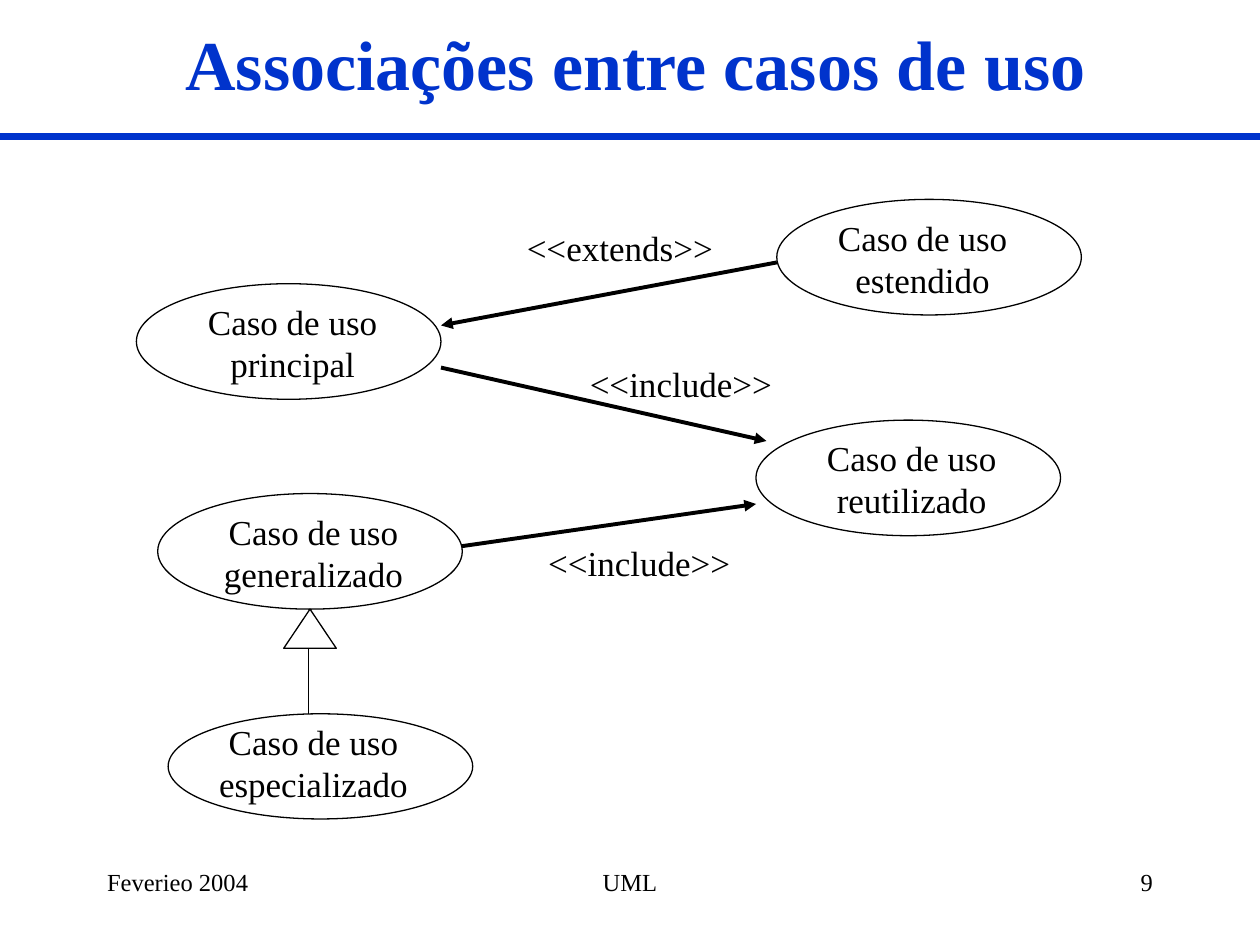
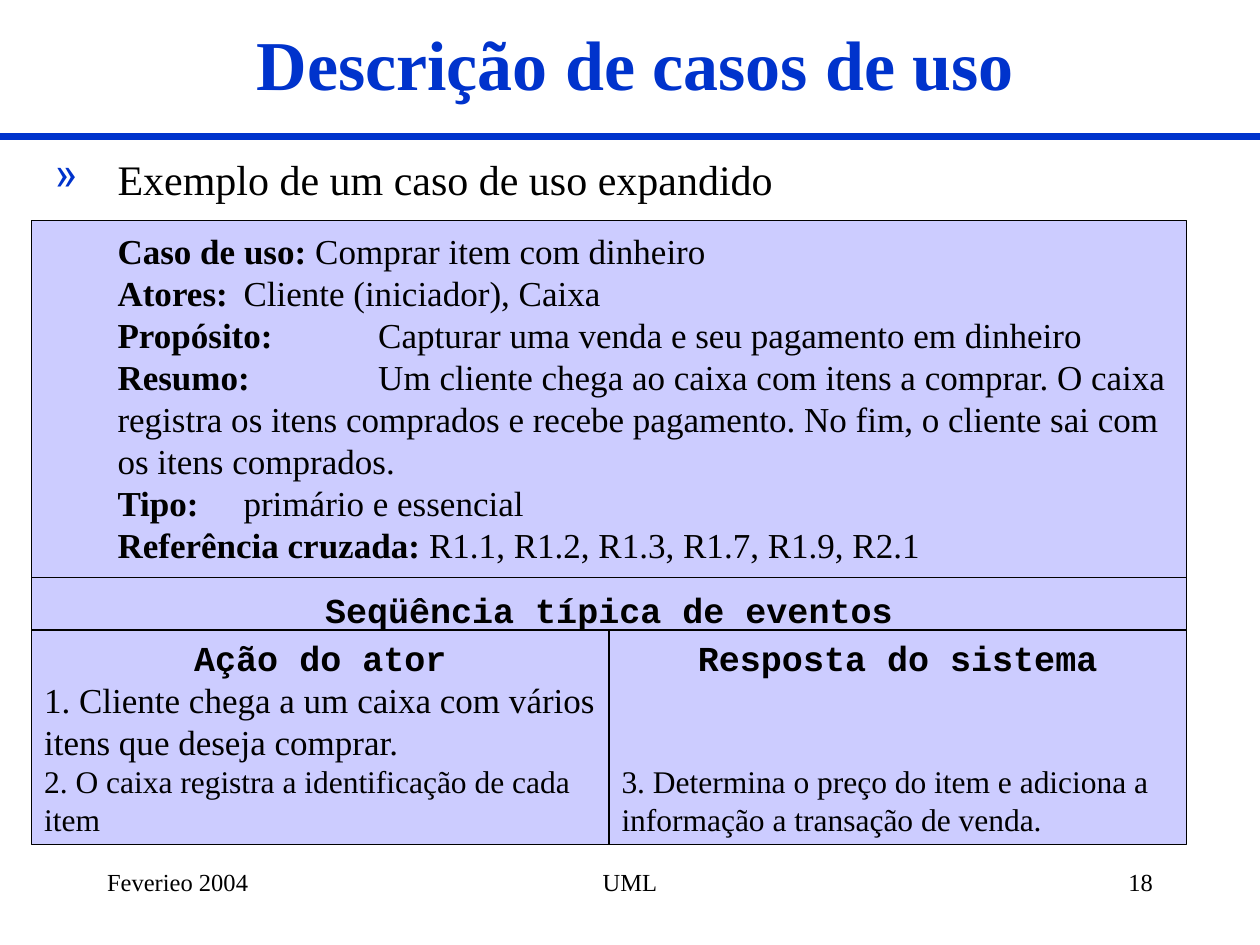
from lxml.etree import SubElement
from pptx import Presentation
from pptx.dml.color import RGBColor
from pptx.enum.shapes import MSO_CONNECTOR as Connector, MSO_SHAPE as Preset
from pptx.enum.text import MSO_ANCHOR as Anchor, PP_ALIGN as Align
from pptx.oxml.ns import qn
from pptx.util import Cm, Pt

BLUE, BLACK, LILAC = "0033CC", "000000", "CCCCFF"
SERIF, MONO = "Times New Roman", "Courier New"
WIDTH, HEIGHT = 25.4, 19.05
BAND_TOP = 2.75

# Footer parts: left, width, alignment
DATE_PLACE = (1.91, 5.29, Align.LEFT)
SUBJECT_PLACE = (8.68, 8.04, Align.CENTER)
NUMBER_PLACE = (18.2, 5.29, Align.RIGHT)

# Label, ellipse left, top and height, then the text's offset from the ellipse
USE_CASES = [
    ("Caso de uso principal", 2.75, 5.72, 2.33, 0.43, 0.21),
    ("Caso de uso reutilizado", 15.24, 8.47, 2.33, 0.42, 0.21),
    ("Caso de uso estendido", 15.66, 4.02, 2.33, 0.22, 0.21),
    ("Caso de uso especializado", 3.39, 14.39, 2.12, 0.21, 0),
    ("Caso de uso generalizado", 3.18, 9.95, 2.33, 0.42, 0.21),
]
# Stereotype, its left and top, then the arrow's start and end
ASSOCIATIONS = [
    ("<<extends>>", 10.37, 4.45, (15.66, 5.29), (8.89, 6.56)),
    ("<<include>>", 11.64, 7.19, (8.89, 7.41), (15.45, 8.89)),
    ("<<include>>", 10.8, 10.8, (9.31, 11.01), (15.24, 10.16)),
]

EXAMPLE_HEADING = "Exemplo de um caso de uso expandido"
USE_CASE_FIELDS = [
    ("Caso de uso:", " Comprar item com dinheiro"),
    ("Atores: \t", "Cliente (iniciador), Caixa"),
    ("Propósito:\t", " Capturar uma venda e seu pagamento em dinheiro"),
    ("Resumo:\t", " Um cliente chega ao caixa com itens a comprar. O caixa registra "
     "os itens comprados e recebe pagamento. No fim, o cliente sai com os itens comprados."),
    ("Tipo: \t", "primário e essencial"),
    ("Referência cruzada:", " R1.1, R1.2, R1.3, R1.7, R1.9, R2.1"),
]
SEQUENCE_HEADING = "Seqüência típica de eventos"
# Column heading, then its steps: text, size, space before in points
EVENT_COLUMNS = [
    ("Ação do ator", [
        ("1. Cliente chega a um caixa com vários itens que deseja comprar.", 20, 0),
        ("2. O caixa registra a identificação de cada item", 18, 0)]),
    ("Resposta do sistema", [
        ("3. Determina o preço do item e adiciona a informação a transação de venda.", 18, 48)]),
]


def color(value):
    return RGBColor.from_string(value)


def add_span(para, text, size=20, font=SERIF, ink=BLACK, bold=False):
    span = para.add_run()
    span.text = text
    span.font.size, span.font.name, span.font.bold = Pt(size), font, bold
    span.font.color.rgb = color(ink)


def add_para(frame, align=Align.LEFT, before=0):
    """Return the frame's first paragraph while it is empty, else a new one."""
    first = frame.paragraphs[0]
    para = frame.add_paragraph() if first.runs else first
    para.alignment, para.space_before = align, Pt(before)
    return para


def write(frame, text, align=Align.LEFT, before=0, **style):
    para = add_para(frame, align, before)
    add_span(para, text, **style)
    return para


def add_box(page, left, top, width, height):
    box = page.shapes.add_textbox(Cm(left), Cm(top), Cm(width), Cm(height))
    box.text_frame.word_wrap = True
    return box.text_frame


def add_outline(page, preset, left, top, width, height, fill=None):
    shape = page.shapes.add_shape(preset, Cm(left), Cm(top), Cm(width), Cm(height))
    shape.shadow.inherit = False
    if fill:
        shape.fill.solid()
        shape.fill.fore_color.rgb = color(fill)
    else:
        shape.fill.background()
    shape.line.color.rgb, shape.line.width = color(BLACK), Pt(0.75)
    frame = shape.text_frame
    frame.word_wrap, frame.vertical_anchor = True, Anchor.TOP
    return frame


def add_line(page, start, end, ink=BLACK, weight=0.75, arrow=False):
    line = page.shapes.add_connector(Connector.STRAIGHT, *map(Cm, start + end))
    line.line.color.rgb, line.line.width = color(ink), Pt(weight)
    if arrow:
        SubElement(line.line._get_or_add_ln(), qn("a:tailEnd"), type="triangle")
    SubElement(line._element.spPr, qn("a:effectLst"))


def set_bullet(para, mark, ink, indent):
    props = para._p.get_or_add_pPr()
    props.set("marL", str(Cm(indent)))
    props.set("indent", str(-Cm(indent)))
    SubElement(SubElement(props, qn("a:buClr")), qn("a:srgbClr"), val=ink)
    SubElement(props, qn("a:buChar"), char=mark)


def set_tabs(para, step, count):
    tabs = SubElement(para._p.get_or_add_pPr(), qn("a:tabLst"))
    for number in range(1, count + 1):
        SubElement(tabs, qn("a:tab"), pos=str(Cm(step * number)), algn="l")


def add_page(deck, title, number):
    page = deck.slides.add_slide(deck.slide_layouts[5])
    heading = page.shapes.title
    heading.left, heading.top, heading.width, heading.height = map(Cm, (1.06, 0, 23.5, 2.54))
    heading.text_frame.vertical_anchor = Anchor.MIDDLE
    write(heading.text_frame, title, Align.CENTER, size=40, ink=BLUE, bold=True)
    add_line(page, (0, BAND_TOP), (WIDTH, BAND_TOP), BLUE, 4)
    footers = [("Feverieo 2004", DATE_PLACE), ("UML", SUBJECT_PLACE), (number, NUMBER_PLACE)]
    for text, (left, width, align) in footers:
        write(add_box(page, left, 17.36, width, 1.27), text, align, size=14)
    return page


def build_associations(deck):
    page = add_page(deck, "Associações entre casos de uso", "9")
    for label, left, top, height, right_shift, down_shift in USE_CASES:
        frame = add_box(page, left + right_shift, top + down_shift, 5.44, 1.96)
        write(frame, label, Align.CENTER)
        add_outline(page, Preset.OVAL, left, top, 6.14, height)
    add_outline(page, Preset.ISOSCELES_TRIANGLE, 5.72, 12.28, 1.06, 0.79)
    add_line(page, (6.22, 13.06), (6.22, 14.39))
    for label, left, top, start, end in ASSOCIATIONS:
        write(add_box(page, left, top, 4.66, 1.11), label)
        add_line(page, start, end, weight=2.25, arrow=True)


def build_description(deck):
    page = add_page(deck, "Descrição de casos de uso", "18")
    left, top, width, events_top = 0.64, 4.45, 23.28, 12.7
    divider = 11.64

    example = write(add_box(page, 0.85, 2.96, 23.07, 1.2), EXAMPLE_HEADING, size=24)
    set_bullet(example, "»", BLUE, 1.27)

    fields = add_outline(page, Preset.RECTANGLE, left, top, width, events_top - top, LILAC)
    fields.margin_left, fields.margin_top = Cm(1.73), Cm(0.18)
    for name, value in USE_CASE_FIELDS:
        para = add_para(fields)
        set_tabs(para, 2.54, 7)
        add_span(para, name, bold=True)
        add_span(para, value)

    add_line(page, (left, divider), (left + width, divider))
    sequence = add_box(page, left, divider + 0.1, width, events_top - divider - 0.1)
    write(sequence, SEQUENCE_HEADING, Align.CENTER, font=MONO, bold=True)

    column_width = width / len(EVENT_COLUMNS)
    for index, (heading, steps) in enumerate(EVENT_COLUMNS):
        column = add_outline(page, Preset.RECTANGLE, left + index * column_width,
                             events_top, column_width, 4.32, LILAC)
        write(column, heading, Align.CENTER, font=MONO, bold=True)
        for text, size, before in steps:
            write(column, text, before=before, size=size)


def main():
    deck = Presentation()
    deck.slide_width, deck.slide_height = Cm(WIDTH), Cm(HEIGHT)
    build_associations(deck)
    build_description(deck)
    deck.save("out.pptx")


if __name__ == "__main__":
    main()
